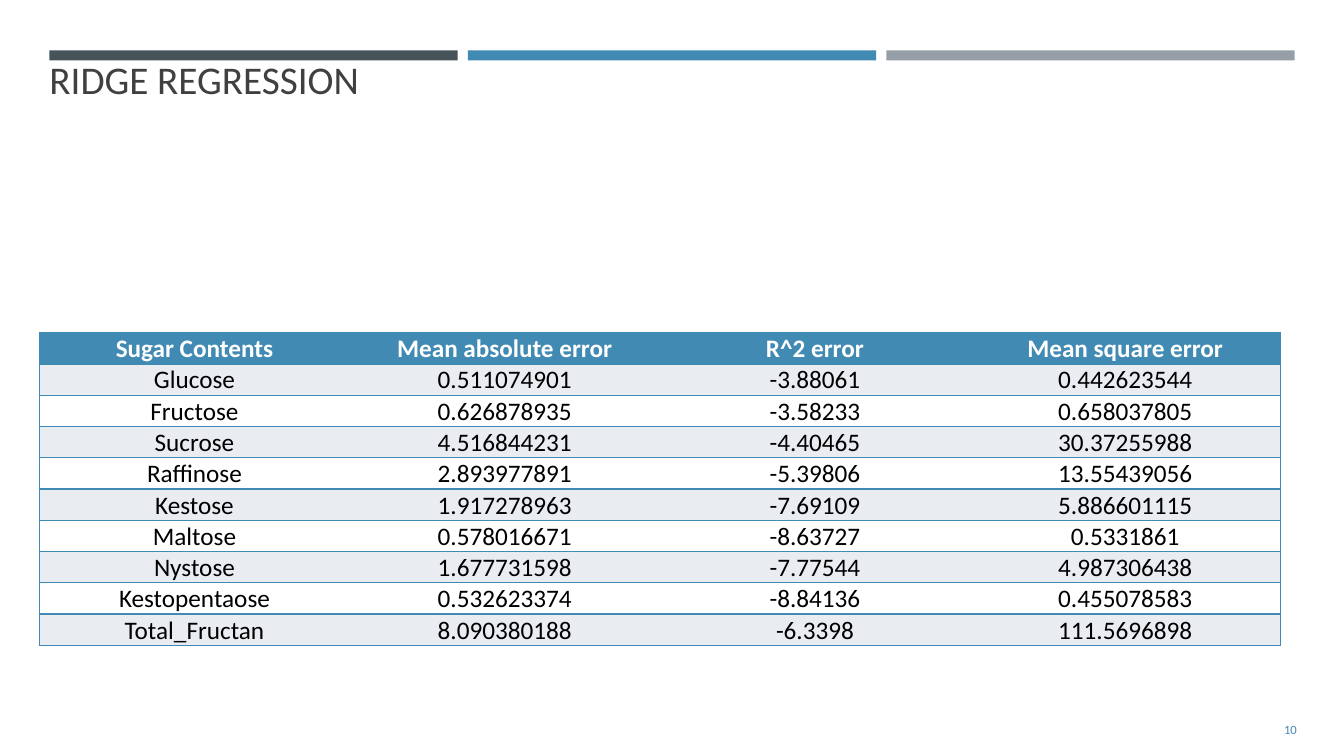
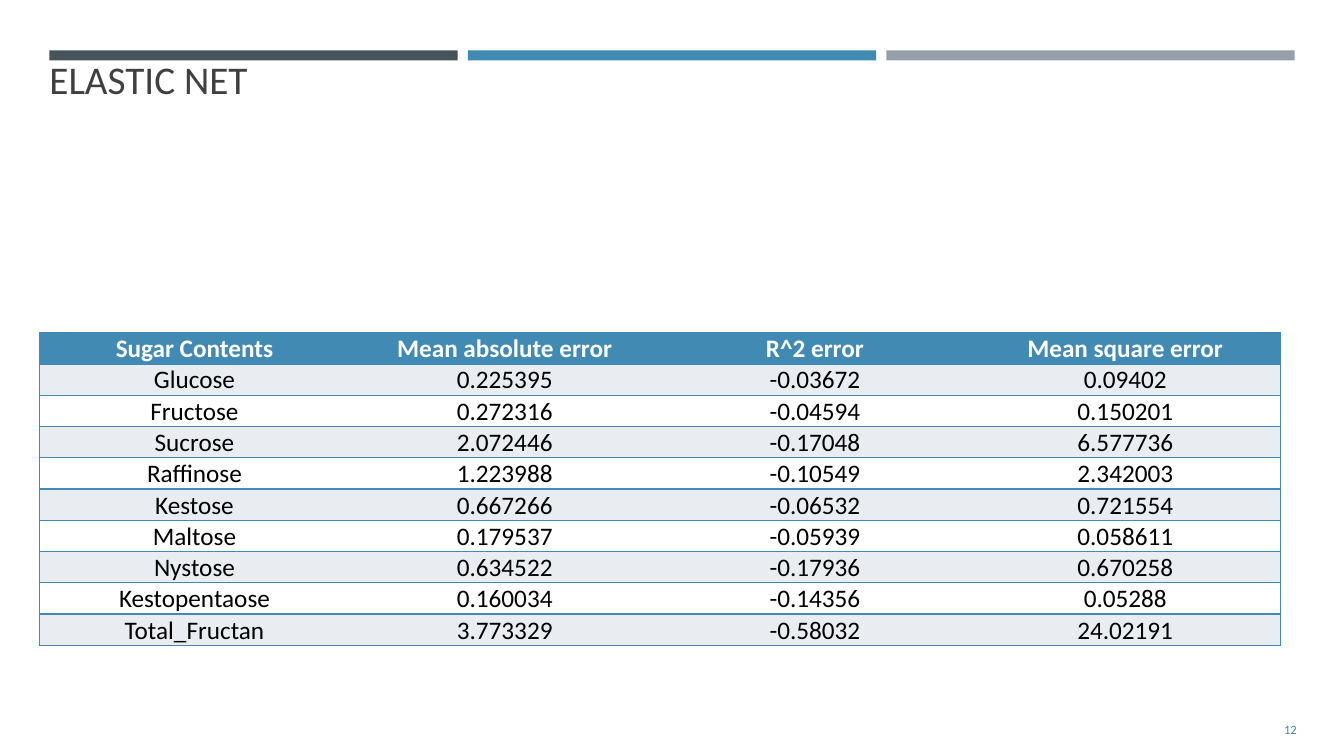
import dataclasses

import lxml.etree
import pptx
import pptx.dml.color
import pptx.enum.shapes
import pptx.enum.text
import pptx.oxml.ns
import pptx.util

ALIGN = pptx.enum.text.PP_ALIGN
ANCHOR = pptx.enum.text.MSO_ANCHOR


@dataclasses.dataclass(frozen=True)
class Theme:
    font: str = "Calibri"
    dark: str = "465359"
    blue: str = "418AB3"
    gray: str = "969FA7"
    title: str = "404040"
    ink: str = "000000"
    white: str = "FFFFFF"
    tint: str = "E9EDF2"
    big: int = 28
    body: int = 18
    small: int = 9
    line: int = 1


@dataclasses.dataclass(frozen=True)
class Grid:
    wide: float = 13.33
    high: float = 7.5
    edge: float = 0.49
    left: float = 0.39
    top: float = 0.5
    span: float = 12.35
    gap: float = 0.1
    row: float = 0.31


T = Theme()
G = Grid()

HEAD = ("Sugar Contents", "Mean absolute error", "R^2 error", "Mean square error")
SUGARS = ("Glucose", "Fructose", "Sucrose", "Raffinose", "Kestose",
          "Maltose", "Nystose", "Kestopentaose", "Total_Fructan")
RIDGE = (
    ("0.511074901", "-3.88061", "0.442623544"),
    ("0.626878935", "-3.58233", "0.658037805"),
    ("4.516844231", "-4.40465", "30.37255988"),
    ("2.893977891", "-5.39806", "13.55439056"),
    ("1.917278963", "-7.69109", "5.886601115"),
    ("0.578016671", "-8.63727", "0.5331861"),
    ("1.677731598", "-7.77544", "4.987306438"),
    ("0.532623374", "-8.84136", "0.455078583"),
    ("8.090380188", "-6.3398", "111.5696898"),
)
ELASTIC = (
    ("0.225395", "-0.03672", "0.09402"),
    ("0.272316", "-0.04594", "0.150201"),
    ("2.072446", "-0.17048", "6.577736"),
    ("1.223988", "-0.10549", "2.342003"),
    ("0.667266", "-0.06532", "0.721554"),
    ("0.179537", "-0.05939", "0.058611"),
    ("0.634522", "-0.17936", "0.670258"),
    ("0.160034", "-0.14356", "0.05288"),
    ("3.773329", "-0.58032", "24.02191"),
)
PAGES = (("RIDGE REGRESSION", "10", RIDGE), ("ELASTIC NET", "12", ELASTIC))


def inch(*sizes):
    return [pptx.util.Inches(size) for size in sizes]


def tone(color):
    return pptx.dml.color.RGBColor.from_string(color)


def paint(fill, color):
    fill.solid()
    fill.fore_color.rgb = tone(color)


def write(frame, text, size, color, align, bold=False):
    frame.text = text
    para = frame.paragraphs[0]
    para.alignment = align
    for run in para.runs:
        run.font.name = T.font
        run.font.size = pptx.util.Pt(size)
        run.font.color.rgb = tone(color)
        run.font.bold = bold


def bands(slide):
    colors = (T.dark, T.blue, T.gray)
    width = (G.span - G.gap * (len(colors) - 1)) / len(colors)
    for col, color in enumerate(colors):
        left = G.edge + col * (width + G.gap)
        band = slide.shapes.add_shape(
            pptx.enum.shapes.MSO_SHAPE.RECTANGLE, *inch(left, G.top, width, G.gap))
        band.shadow.inherit = False
        paint(band.fill, color)
        band.line.fill.background()
        slide.slide_layout.shapes.element.append(band.element)


def title(slide, text):
    shape = slide.shapes.title
    shape.left, shape.top, shape.width, shape.height = inch(G.left, G.top, 7.67, 1.75)
    frame = shape.text_frame
    frame.auto_size = pptx.enum.text.MSO_AUTO_SIZE.NONE
    frame.vertical_anchor = ANCHOR.TOP
    write(frame, text, T.big, T.title, ALIGN.LEFT)


def number(slide, text):
    frame = slide.shapes.add_textbox(*inch(11.81, 7.04, 1.15, 0.4)).text_frame
    frame.word_wrap = True
    frame.vertical_anchor = ANCHOR.MIDDLE
    write(frame, text, T.small, T.blue, ALIGN.RIGHT)


def border(cell, side, shown):
    name = pptx.oxml.ns.qn
    props = cell._tc.get_or_add_tcPr()
    line = lxml.etree.SubElement(props, name("a:ln" + side))
    if not shown:
        lxml.etree.SubElement(line, name("a:noFill"))
        return
    line.set("w", str(pptx.util.Pt(T.line)))
    fill = lxml.etree.SubElement(line, name("a:solidFill"))
    lxml.etree.SubElement(fill, name("a:srgbClr"), val=T.blue)


def style(cell, text, row, first, last):
    for side, shown in (("L", first), ("R", last), ("T", True), ("B", True)):
        border(cell, side, shown)
    head = row == 0
    paint(cell.fill, T.blue if head else T.tint if row % 2 else T.white)
    cell.margin_left, cell.margin_right, cell.margin_top, cell.margin_bottom = inch(
        0.01, 0.01, 0.01, 0)
    cell.vertical_anchor = ANCHOR.MIDDLE
    write(cell.text_frame, text, T.body, T.white if head else T.ink, ALIGN.CENTER, head)


def grid(slide, scores):
    rows = [HEAD] + [(sugar, *vals) for sugar, vals in zip(SUGARS, scores)]
    size = inch(G.left, G.high * 0.44, 12.31, G.row * len(rows))
    table = slide.shapes.add_table(len(rows), len(HEAD), *size).table
    for row, texts in enumerate(rows):
        for col, text in enumerate(texts):
            style(table.cell(row, col), text, row, col == 0, col == len(HEAD) - 1)


def main():
    deck = pptx.Presentation()
    deck.slide_width, deck.slide_height = inch(G.wide, G.high)
    plain = deck.slide_layouts[5]
    for name, page, scores in PAGES:
        slide = deck.slides.add_slide(plain)
        title(slide, name)
        number(slide, page)
        grid(slide, scores)
    bands(deck.slides[0])
    deck.save("out.pptx")


if __name__ == "__main__":
    main()
